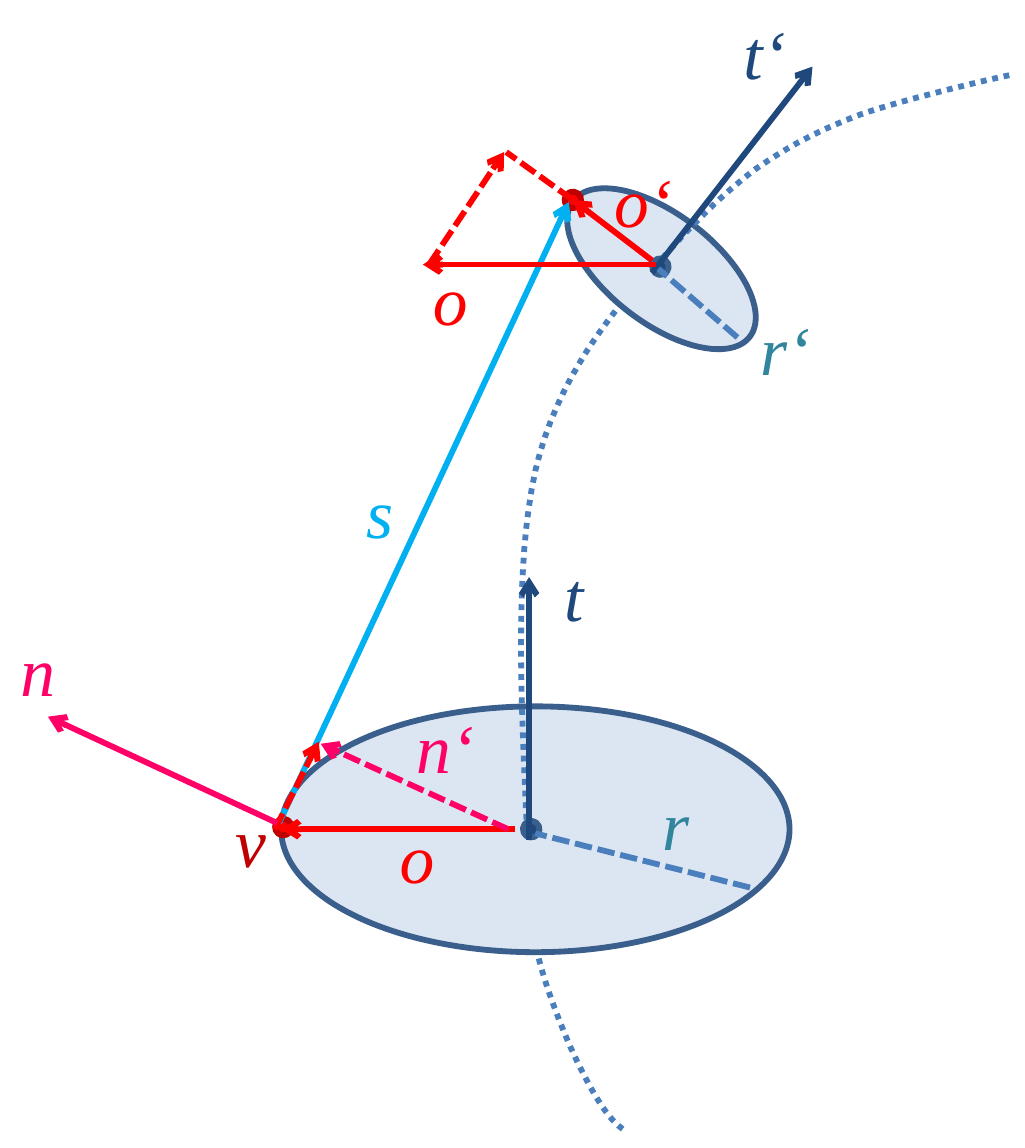
"""Build a slide showing how a vertex is carried along a curve between two discs."""
from lxml import etree
from pptx import Presentation
from pptx.dml.color import RGBColor
from pptx.enum.dml import MSO_LINE
from pptx.enum.shapes import MSO_CONNECTOR, MSO_SHAPE
from pptx.oxml.ns import qn
from pptx.util import Inches, Pt

SOLID, DASH, DOT = MSO_LINE.SOLID, MSO_LINE.SQUARE_DOT, MSO_LINE.ROUND_DOT
DASH_NAMES = {DASH: "sysDash", DOT: "sysDot"}
STRAIGHT, OVAL = MSO_CONNECTOR.STRAIGHT, MSO_SHAPE.OVAL
NAVY = RGBColor(0x1F, 0x49, 0x7D)
OUTLINE = RGBColor(0x3A, 0x5F, 0x8C)
BLUE = RGBColor(0x4B, 0x7E, 0xBC)
PALE = RGBColor(0xDC, 0xE6, 0xF2)
RED = RGBColor(0xFF, 0x00, 0x00)
DARK_RED = RGBColor(0xC0, 0x00, 0x00)
PINK = RGBColor(0xFF, 0x00, 0x66)
SKY = RGBColor(0x00, 0xB0, 0xF0)
TEAL = RGBColor(0x31, 0x85, 0x9C)
FONT = "Times New Roman"
TILT = 37.6
DOT_SIZE = 0.08
CURVE_STEPS = 16

deck = Presentation()
deck.slide_width, deck.slide_height = Inches(4.92), Inches(5.51)
page = deck.slides.add_slide(deck.slide_layouts[6])
shapes = page.shapes


def style_line(shape, color, dash=SOLID, arrow=False):
    shape.line.color.rgb = color
    shape.line.width = Pt(2)
    properties = shape.line._get_or_add_ln()
    if dash in DASH_NAMES:
        etree.SubElement(properties, qn("a:prstDash")).set("val", DASH_NAMES[dash])
    if arrow:
        etree.SubElement(properties, qn("a:tailEnd")).set("type", "arrow")


def add_ellipse(center_x, center_y, width, height, fill, outline, tilt):
    ellipse = shapes.add_shape(OVAL, Inches(center_x - width / 2), Inches(center_y - height / 2),
                               Inches(width), Inches(height))
    ellipse.rotation = tilt
    ellipse.shadow.inherit = False
    ellipse.fill.solid()
    ellipse.fill.fore_color.rgb = fill
    style_line(ellipse, outline)


lower_curve = [(2.55, 3.99), (2.54, 4.15), (2.53, 4.31), (2.56, 4.48), (2.59, 4.66),
               (2.67, 4.87), (2.74, 5.03), (2.81, 5.18), (2.9, 5.36), (2.99, 5.42)]
middle_curve = [(2.53, 3.99), (2.5, 3.35), (2.47, 2.71), (2.57, 2.26),
                (2.67, 1.82), (2.94, 1.5), (3.1, 1.32)]
upper_curve = [(3.18, 1.24), (3.32, 1.08), (3.47, 0.93), (3.63, 0.81), (3.79, 0.7),
               (3.92, 0.63), (4.13, 0.55), (4.33, 0.48), (4.71, 0.39), (4.85, 0.36)]
large_disc = (2.57, 3.98, 2.44, 1.18, PALE, OUTLINE, 0)
small_disc = (3.175, 1.29, 1.07, 0.52, PALE, OUTLINE, TILT)

for curve, disc in [(lower_curve, large_disc), (middle_curve, small_disc), (upper_curve, None)]:
    points = []
    for first in range(0, len(curve) - 1, 3):
        controls = curve[first:first + 4]
        for step in range(1, CURVE_STEPS + 1):
            t = step / CURVE_STEPS
            weights = ((1 - t) ** 3, 3 * t * (1 - t) ** 2, 3 * t * t * (1 - t), t ** 3)
            points.append(tuple(Inches(sum(weight * control[axis] for weight, control
                                           in zip(weights, controls))) for axis in (0, 1)))
    builder = shapes.build_freeform(Inches(curve[0][0]), Inches(curve[0][1]))
    builder.add_line_segments(points, close=False)
    path_shape = builder.convert_to_shape()
    path_shape.shadow.inherit = False
    path_shape.fill.background()
    style_line(path_shape, BLUE, DOT)
    if disc:
        add_ellipse(*disc)

for center_x, center_y, fill, outline in [(2.55, 3.98, NAVY, OUTLINE), (3.17, 1.28, NAVY, OUTLINE),
                                          (2.75, 0.96, RED, DARK_RED), (1.36, 3.97, RED, DARK_RED)]:
    add_ellipse(center_x, center_y, DOT_SIZE, DOT_SIZE, fill, outline, TILT)

vectors = [
    ((2.75, 0.96), (2.43, 0.73), RED, DASH, False),
    ((2.54, 4.03), (2.54, 2.77), NAVY, SOLID, True),
    ((2.47, 3.98), (1.35, 3.98), RED, SOLID, True),
    ((3.13, 1.31), (3.9, 0.32), NAVY, SOLID, True),
    ((3.13, 1.25), (2.75, 0.96), RED, SOLID, True),
    ((1.34, 3.95), (2.73, 0.97), SKY, SOLID, True),
    ((2.44, 3.98), (1.54, 3.57), PINK, DASH, True),
    ((1.32, 3.98), (1.53, 3.56), RED, DASH, True),
    ((3.15, 1.27), (2.03, 1.27), RED, SOLID, True),
    ((2.06, 1.27), (2.42, 0.73), RED, DASH, True),
    ((3.6, 4.26), (2.57, 4), BLUE, DASH, False),
    ((3.54, 1.62), (3.16, 1.29), BLUE, DASH, False),
    ((1.33, 3.95), (0.23, 3.44), PINK, SOLID, True),
]
for start, end, color, dash, arrow in vectors:
    vector = shapes.add_connector(STRAIGHT, *map(Inches, start + end))
    style_line(vector, color, dash, arrow)
    etree.SubElement(vector._element.spPr, qn("a:effectLst"))

labels = [
    ("t", 2.61, 2.6, 0.31, NAVY), ("t‘", 3.47, 0, 0.43, NAVY),
    ("o", 1.82, 3.86, 0.4, RED), ("o", 1.98, 1.18, 0.4, RED), ("o‘", 2.85, 0.71, 0.55, RED),
    ("s", 1.66, 2.2, 0.4, SKY),
    ("n", 0, 2.96, 0.63, PINK), ("n‘", 1.9, 3.33, 0.63, PINK),
    ("v", 1.03, 3.78, 0.38, DARK_RED),
    ("r", 3.08, 3.7, 0.35, TEAL), ("r‘", 3.55, 1.42, 0.48, TEAL),
]
for wording, left, top, width, color in labels:
    box = shapes.add_textbox(Inches(left), Inches(top), Inches(width), Inches(0.5))
    box.text_frame.word_wrap = True
    box.text_frame.text = wording
    font = box.text_frame.paragraphs[0].runs[0].font
    font.name, font.size, font.italic = FONT, Pt(24), True
    font.color.rgb = color

deck.save("out.pptx")
